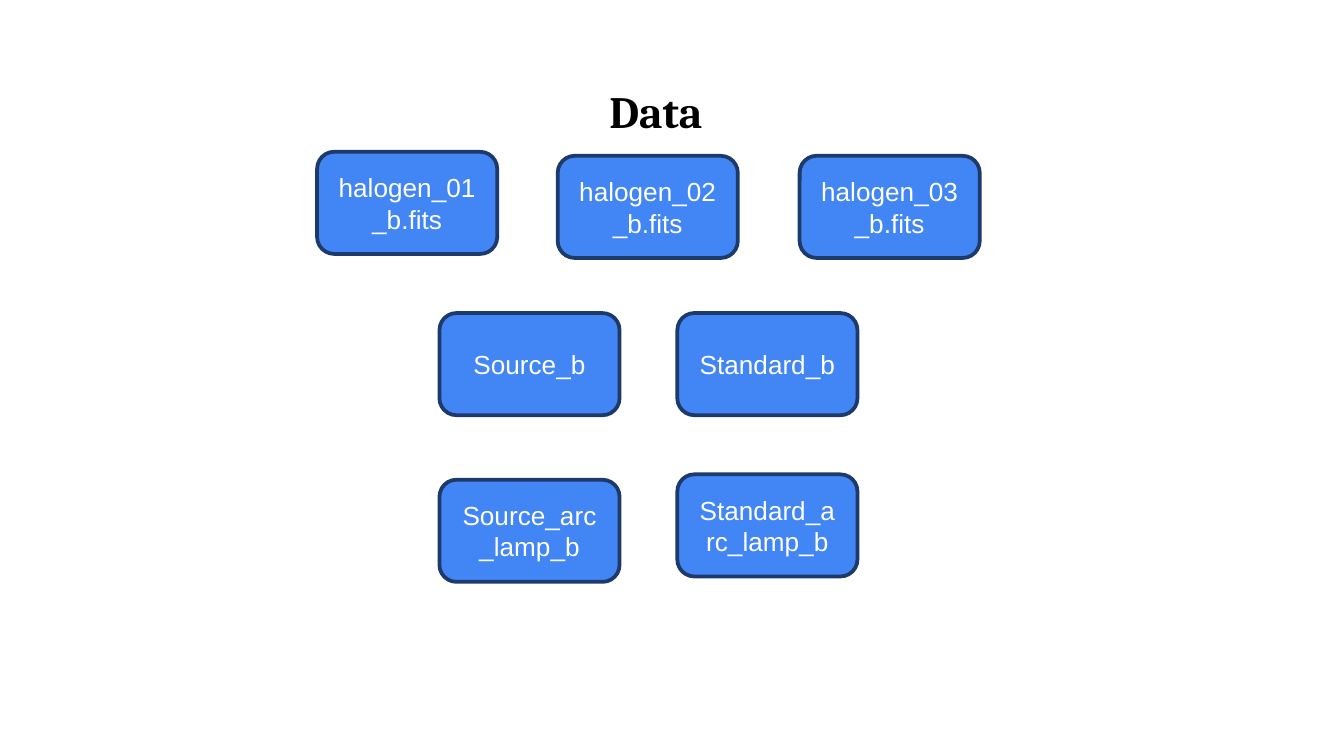
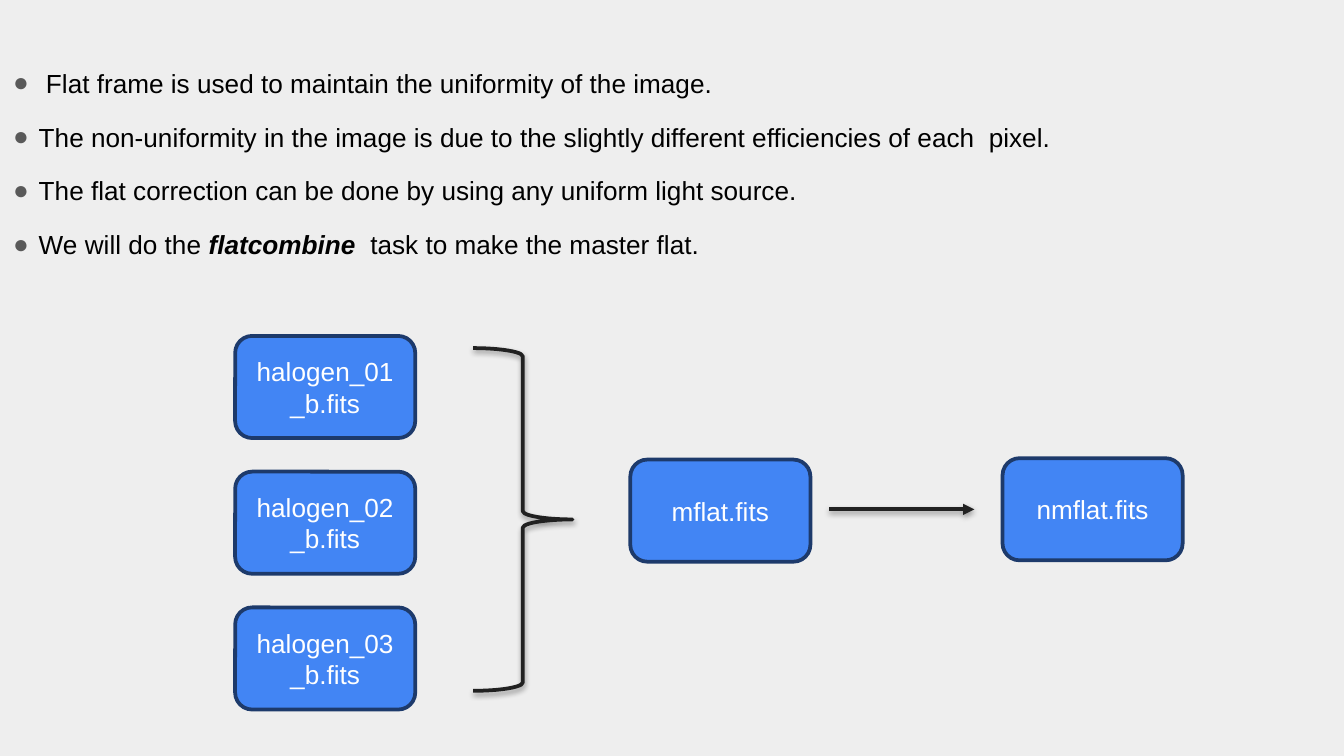
from lxml import etree
from pptx import Presentation
from pptx.dml.color import RGBColor
from pptx.enum.shapes import MSO_CONNECTOR, MSO_SHAPE
from pptx.enum.text import MSO_ANCHOR, PP_ALIGN
from pptx.oxml import parse_xml
from pptx.oxml.ns import qn
from pptx.util import Inches, Pt

ROUND_RECT = MSO_SHAPE.ROUNDED_RECTANGLE
BRACE = MSO_SHAPE.RIGHT_BRACE
STRAIGHT = MSO_CONNECTOR.STRAIGHT
CENTER = PP_ALIGN.CENTER
MIDDLE, BOTTOM = MSO_ANCHOR.MIDDLE, MSO_ANCHOR.BOTTOM

BLUE, NAVY, INK = "4285F4", "1D3A6B", "212121"
WHITE, BLACK, GREY, PALE = "FFFFFF", "000000", "595959", "EEEEEE"
BOX_W, BOX_H = 1.34, 0.76
HALOGENS = [f"halogen_0{n}_b.fits" for n in (1, 2, 3)]
SHADOW = (
    '<a:effectLst xmlns:a="http://schemas.openxmlformats.org/drawingml/2006/main">'
    '<a:outerShdw blurRad="40000" dist="20000" dir="5400000" rotWithShape="0">'
    f'<a:srgbClr val="{BLACK}"><a:alpha val="38000"/></a:srgbClr>'
    '</a:outerShdw></a:effectLst>'
)

rgb = RGBColor.from_string


def add_box(s, text, x, y):
    """Add a blue rounded box that holds a file name."""
    sp = s.shapes.add_shape(ROUND_RECT, Inches(x), Inches(y), Inches(BOX_W), Inches(BOX_H))
    sp.shadow.inherit = False
    sp.fill.solid()
    sp.fill.fore_color.rgb = rgb(BLUE)
    sp.line.color.rgb = rgb(NAVY)
    sp.line.width = Pt(2)
    tf = sp.text_frame
    tf.word_wrap = True
    tf.vertical_anchor = MIDDLE
    tf.text = text
    p = tf.paragraphs[0]
    p.alignment = CENTER
    font = p.runs[0].font
    font.name, font.size = "Arial", Pt(14)
    font.color.rgb = rgb(WHITE)


def add_text_frame(s, x, y, w, h):
    tf = s.shapes.add_textbox(Inches(x), Inches(y), Inches(w), Inches(h)).text_frame
    tf.word_wrap = True
    tf.margin_left = tf.margin_right = tf.margin_top = tf.margin_bottom = Inches(0.1)
    return tf


prs = Presentation()
prs.slide_width = Inches(10)
prs.slide_height = prs.slide_width * 9 // 16
slides = []
for colour in (WHITE, PALE):
    s = prs.slides.add_slide(prs.slide_layouts[6])
    s.background.fill.solid()
    s.background.fill.fore_color.rgb = rgb(colour)
    slides.append(s)
data, flat = slides

# Data files
tf = add_text_frame(data, 2.82, 0.29, 4.12, 0.83)
tf.vertical_anchor = BOTTOM
tf.text = "Data"
p = tf.paragraphs[0]
p.alignment = CENTER
font = p.runs[0].font
font.name, font.size, font.bold = "Cambria", Pt(24), True
font.color.rgb = rgb(BLACK)

for text, x, y in zip(HALOGENS, (2.36, 4.15, 5.95), (1.13, 1.16, 1.16)):
    add_box(data, text, x, y)
for text, x, y in [
    ("Source_b", 3.27, 2.33),
    ("Standard_b", 5.04, 2.33),
    ("Source_arc_lamp_b", 3.27, 3.57),
    ("Standard_arc_lamp_b", 5.04, 3.53),
]:
    add_box(data, text, x, y)

# Flat correction: each bullet is a list of runs, and every second run is emphasised
bullets = [
    [" Flat frame is used to maintain the uniformity of the image."],
    ["The non-uniformity in the image is due to the slightly different "
     "efficiencies of each  pixel."],
    ["The flat correction can be done by using any uniform light source."],
    ["We will do the ", "flatcombine ", " task to make the master flat."],
]
tf = add_text_frame(flat, 0, 0.4, 10, 1.75)
for i, parts in enumerate(bullets):
    p = tf.add_paragraph() if i else tf.paragraphs[0]
    pPr = p._p.get_or_add_pPr()
    pPr.set("marL", str(Inches(0.19)))
    pPr.set("indent", str(-Inches(0.19)))
    buClr = etree.SubElement(pPr, qn("a:buClr"))
    etree.SubElement(buClr, qn("a:srgbClr"), val=GREY)
    etree.SubElement(pPr, qn("a:buFont"), typeface="Arial")
    etree.SubElement(pPr, qn("a:buChar"), char="●")
    if i:
        p.space_before = Pt(12)
    for j, part in enumerate(parts):
        r = p.add_run()
        r.text = part
        r.font.name, r.font.size = "Arial", Pt(14)
        r.font.bold = r.font.italic = j % 2 == 1
        r.font.color.rgb = rgb(BLACK)

for i, text in enumerate(HALOGENS):
    add_box(flat, text, 1.75, 2.5 + 1.01 * i)

brace = flat.shapes.add_shape(BRACE, Inches(3.52), Inches(2.59), Inches(0.74), Inches(2.55))
brace.fill.background()
add_box(flat, "mflat.fits", 4.69, 3.42)
arrow = flat.shapes.add_connector(STRAIGHT, Inches(6.17), Inches(3.79), Inches(7.25), Inches(3.79))
for sp in (brace, arrow):
    sp.line.color.rgb = rgb(INK)
    sp.line.width = Pt(2)
    sp._element.spPr.append(parse_xml(SHADOW))
etree.SubElement(arrow.line._get_or_add_ln(), qn("a:tailEnd"), type="triangle")
add_box(flat, "nmflat.fits", 7.46, 3.41)

prs.save("out.pptx")
